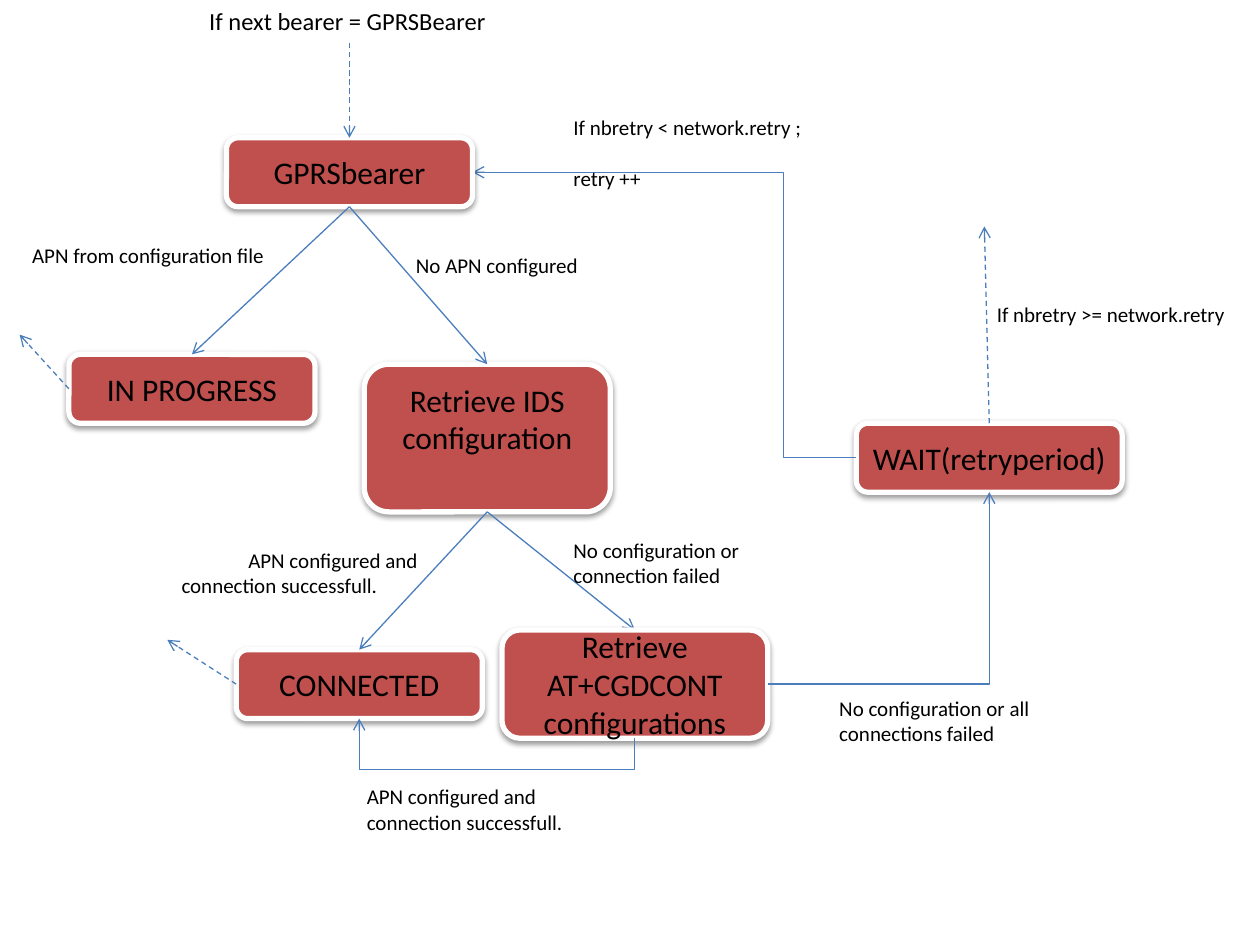
from lxml.etree import SubElement
from pptx import Presentation
from pptx.dml.color import RGBColor
from pptx.enum.dml import MSO_LINE
from pptx.enum.shapes import MSO_CONNECTOR, MSO_SHAPE
from pptx.enum.text import MSO_ANCHOR, PP_ALIGN
from pptx.oxml import parse_xml
from pptx.oxml.ns import nsdecls, qn
from pptx.util import Emu, Inches, Pt

COLUMNS, ROWS = 128, 96
TOP, LEFT, BOTTOM, RIGHT = range(4)  # connection sites of a box


def color(value):
    return RGBColor.from_string(value)


def set_all(target, values):
    for name, value in values.items():
        setattr(target, name, value)


class FlowChart:
    FILL, EDGE, LINE, INK = "C0504D", "FFFFFF", "4B7EBC", "000000"
    FONT = "Calibri"
    SHADOW = (
        f'<a:effectLst {nsdecls("a")}><a:outerShdw blurRad="40000" dist="20000" '
        'dir="5400000" rotWithShape="0"><a:srgbClr val="000000">'
        '<a:alpha val="38000"/></a:srgbClr></a:outerShdw></a:effectLst>')

    def __init__(self, deck):
        self.slide = deck.slides.add_slide(deck.slide_layouts[6])
        self.cell_width = deck.slide_width / COLUMNS
        self.cell_height = deck.slide_height / ROWS

    def place(self, column, row):
        return Emu(round(column * self.cell_width)), Emu(round(row * self.cell_height))

    def add_text(self, frame, lines, size, align, gap=0):
        for index, line in enumerate(lines):
            para = frame.add_paragraph() if index else frame.paragraphs[0]
            para.alignment = align
            if index:
                para.space_before = Pt(gap)
            para.text = line
            for span in para.runs:
                set_all(span.font, {"name": self.FONT, "size": Pt(size)})
                span.font.color.rgb = color(self.INK)

    def state(self, text, column, row, columns=25, rows=7, bottom=0.05):
        box = self.slide.shapes.add_shape(
            MSO_SHAPE.ROUNDED_RECTANGLE,
            *self.place(column, row), *self.place(columns, rows))
        box.fill.solid()
        box.fill.fore_color.rgb = color(self.FILL)
        box.line.color.rgb = color(self.EDGE)
        box.line.width = Pt(3)
        box._element.spPr.append(parse_xml(self.SHADOW))
        set_all(box.text_frame, {"word_wrap": True,
                                 "vertical_anchor": MSO_ANCHOR.MIDDLE,
                                 "margin_bottom": Inches(bottom)})
        self.add_text(box.text_frame, [text], 18, PP_ALIGN.CENTER)
        return box

    def label(self, lines, column, row, columns, rows=3.9, size=12, wrap=True, gap=0):
        box = self.slide.shapes.add_textbox(
            *self.place(column, row), *self.place(columns, rows))
        box.text_frame.word_wrap = wrap
        self.add_text(box.text_frame, lines, size, PP_ALIGN.LEFT, gap)
        return box

    def arrow(self, start, end, dashed=False, preset=None, bend=None, turned=False):
        """Each end is a (box, site) pair or a (column, row) pair."""
        kind = MSO_CONNECTOR.ELBOW if preset else MSO_CONNECTOR.STRAIGHT
        points = [self.place(0, 0) if hasattr(first, "text_frame")
                  else self.place(first, second) for first, second in (start, end)]
        line = self.slide.shapes.add_connector(kind, *points[0], *points[1])
        for (first, second), glue in ((start, line.begin_connect), (end, line.end_connect)):
            if hasattr(first, "text_frame"):
                glue(first, second)
        if turned:
            self.turn(line)
        properties = line._element.spPr
        if preset:
            geometry = properties.find(qn("a:prstGeom"))
            geometry.set("prst", preset)
            if bend is not None:
                guides = geometry.find(qn("a:avLst"))
                if guides is None:
                    guides = SubElement(geometry, qn("a:avLst"))
                SubElement(guides, qn("a:gd"), name="adj1",
                           fmla=f"val {round(bend * 100000)}")
        line.line.color.rgb = color(self.LINE)
        line.line.width = Pt(0.75)
        if dashed:
            line.line.dash_style = MSO_LINE.DASH
        SubElement(properties.find(qn("a:ln")), qn("a:tailEnd"), type="arrow")
        SubElement(properties, qn("a:effectLst"))
        return line

    def turn(self, line):
        """Give a quarter turn about the centre, so the route leaves downwards."""
        width, height = line.width, line.height
        set_all(line, {"left": line.left + (width - height) // 2,
                       "top": line.top + (height - width) // 2,
                       "width": height, "height": width})
        frame = line._element.spPr.find(qn("a:xfrm"))
        for name, value in {"rot": "5400000", "flipH": "1", "flipV": "0"}.items():
            frame.set(name, value)


deck = Presentation()
set_all(deck, {"slide_width": Inches(10), "slide_height": Inches(7.5)})
chart = FlowChart(deck)

# States
connected = chart.state("CONNECTED", 24, 66)
in_progress = chart.state("IN PROGRESS", 7, 36)
wait = chart.state("WAIT(retryperiod)", 87, 43, 27)
bearer = chart.state("GPRSbearer", 23, 14)
retrieve_ids = chart.state("Retrieve IDS configuration", 37, 37, 25, 15, bottom=0.36)
retrieve_at = chart.state("Retrieve AT+CGDCONT configurations", 51, 64, 27, 11)

# Straight transitions
for start, end in [((bearer, BOTTOM), (in_progress, TOP)),
                   ((bearer, BOTTOM), (retrieve_ids, TOP)),
                   ((retrieve_ids, BOTTOM), (connected, TOP))]:
    chart.arrow(start, end)

# Entry and exits
for start, end in [((35.5, 4.4), (bearer, TOP)),
                   ((in_progress, LEFT), (2, 34)),
                   ((connected, LEFT), (17, 65)),
                   ((wait, TOP), (100, 23))]:
    chart.arrow(start, end, dashed=True)

# Bent transitions
chart.arrow((retrieve_at, BOTTOM), (connected, BOTTOM),
            preset="bentConnector3", bend=-1.6, turned=True)
chart.arrow((retrieve_at, RIGHT), (wait, BOTTOM), preset="bentConnector2")
retry = chart.arrow((wait, LEFT), (bearer, RIGHT), preset="bentConnector3", bend=0.19)
failure = chart.arrow((retrieve_ids, BOTTOM), (retrieve_at, TOP))

# These two run behind the state they reach
bearer._element.addprevious(retry._element)
retrieve_at._element.addprevious(failure._element)

# Conditions
chart.label(["If next bearer = GPRSBearer"], 20, 0, 31, 4.4, size=14, wrap=False)
for text, column, row, columns, rows in [
        ("APN from configuration file", 2, 24, 29, 3.9),
        ("No APN configured", 41, 25, 23, 3.9),
        ("No configuration or connection failed", 57, 54, 27, 6.4),
        ("APN configured and connection successfull.", 36, 79, 29, 6.4),
        ("No configuration or all connections failed", 84, 70, 27, 6.4),
        ("If nbretry >= network.retry", 100, 30, 26, 3.9)]:
    chart.label([text], column, row, columns, rows)
chart.label(["If nbretry < network.retry ;", "retry ++"], 57, 11, 26, 6.4, gap=14.6)
success = chart.label(["APN configured and\vconnection successfull."], 15, 55, 29, 6.4)
indents = success.text_frame.paragraphs[0]._p.get_or_add_pPr()
for name, inches in {"marL": 0.17, "indent": 0.53}.items():
    indents.set(name, str(int(Inches(inches))))

deck.save("out.pptx")
